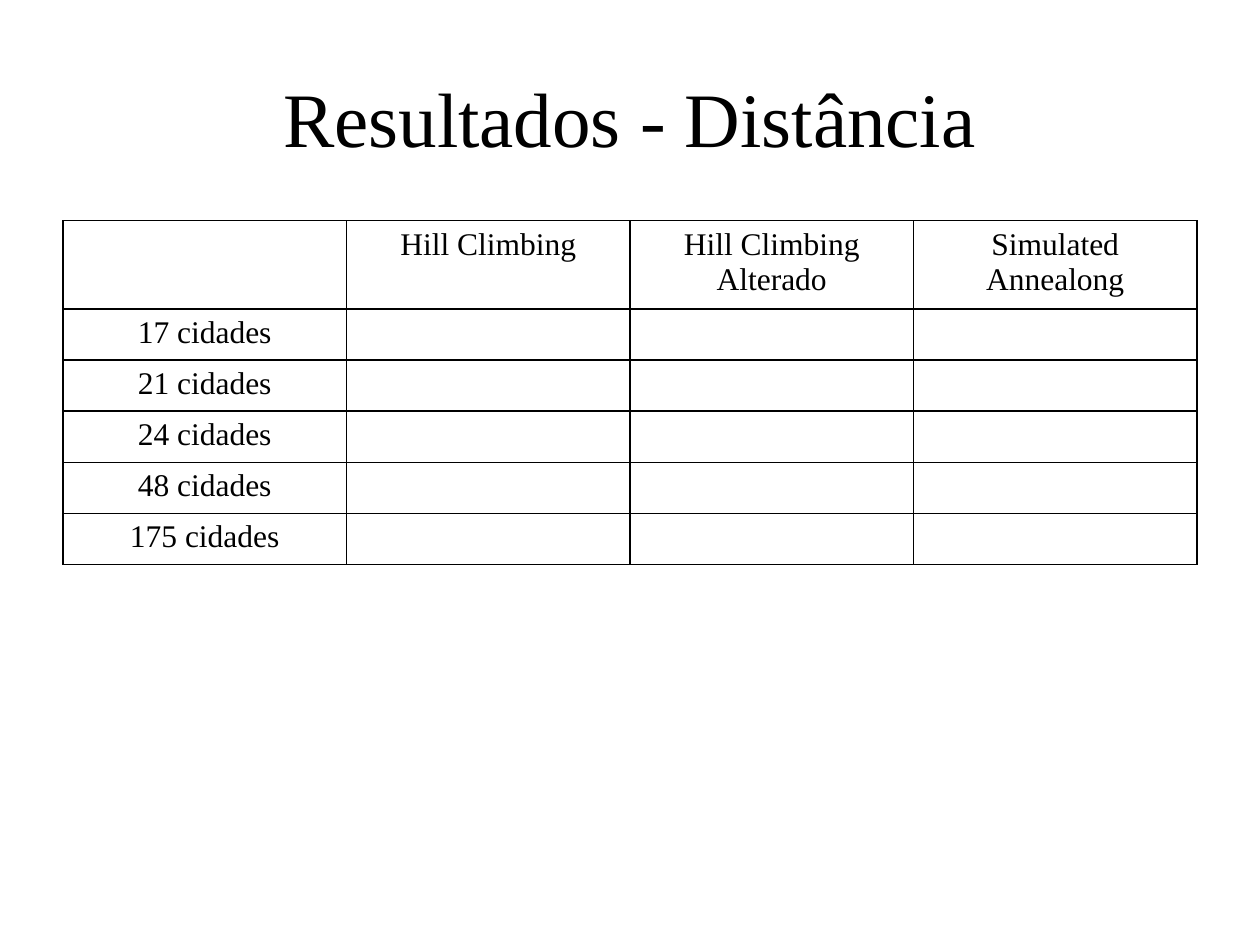
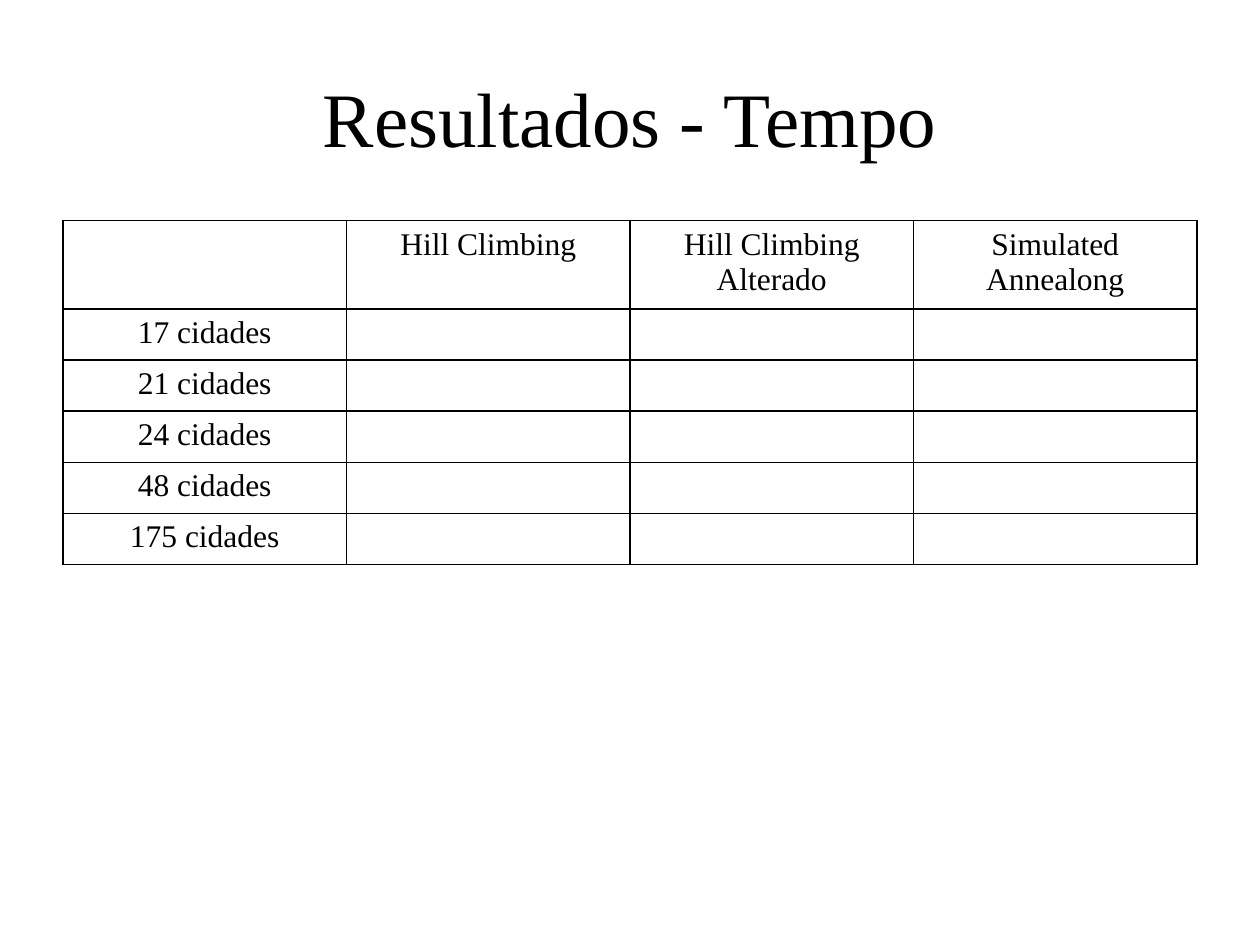
"""Build two result slides, each with a title and a table of cities by method."""
import pptx
import pptx.dml.color
import pptx.enum.text
import pptx.oxml
import pptx.oxml.ns
import pptx.util

Cm = pptx.util.Cm
Pt = pptx.util.Pt
HUES = {"ink": "000000", "paper": "FFFFFF"}
FACE = "Times New Roman"
LEFT, WIDTH = Cm(1.27), Cm(22.86)
TITLE = {"size": Pt(44), "name": FACE, "bold": False}
BODY = {"size": Pt(18), "name": FACE, "bold": False}
FRAME = {"word_wrap": True, "vertical_anchor": pptx.enum.text.MSO_ANCHOR.MIDDLE}
PLAIN = {"first_row": False, "horz_banding": False}
HEADS = ["", "Hill Climbing", "Hill Climbing Alterado", "Simulated Annealong"]
TOWNS = [17, 21, 24, 48, 175]
TOPICS = ["Distância", "Tempo"]


def apply(item, look):
    """Set each attribute in the look on the item."""
    for name, value in look.items():
        setattr(item, name, value)


def tint(name):
    """Return the named colour."""
    return pptx.dml.color.RGBColor.from_string(HUES[name])


def write(frame, text, look):
    """Put one centred line of text in a frame."""
    line = frame.paragraphs[0]
    line.alignment = pptx.enum.text.PP_ALIGN.CENTER
    run = line.add_run()
    run.text = text
    apply(run.font, look)
    run.font.color.rgb = tint("ink")


def add_title(slide, text):
    """Add the slide title."""
    box = slide.shapes.add_textbox(LEFT, Cm(0.76), WIDTH, Cm(3.18))
    apply(box.text_frame, FRAME)
    write(box.text_frame, text, TITLE)


def edge(cell):
    """Draw a thin line on all four sides of a cell."""
    props = cell._tc.get_or_add_tcPr()
    space = pptx.oxml.ns.nsdecls("a")
    for side in "LRTB":
        props.append(pptx.oxml.parse_xml(
            f'<a:ln{side} {space} w="{Pt(1)}"><a:solidFill>'
            f'<a:srgbClr val="{HUES["ink"]}"/></a:solidFill></a:ln{side}>'))


def add_grid(slide, rows):
    """Add a bordered table with equal columns and rows."""
    high = Cm(1.03)
    shape = slide.shapes.add_table(
        len(rows), len(rows[0]), LEFT, Cm(4.45), WIDTH, high * len(rows))
    grid = shape.table
    apply(grid, PLAIN)
    for row, texts in zip(grid.rows, rows):
        row.height = high
        for cell, text in zip(row.cells, texts):
            edge(cell)
            cell.fill.solid()
            cell.fill.fore_color.rgb = tint("paper")
            if text:
                write(cell.text_frame, text, BODY)


def main():
    """Build and save the slides."""
    deck = pptx.Presentation()
    apply(deck, {"slide_width": Cm(25.4), "slide_height": Cm(19.05)})
    blanks = [""] * (len(HEADS) - 1)
    rows = [HEADS] + [[f"{count} cidades"] + blanks for count in TOWNS]
    for topic in TOPICS:
        slide = deck.slides.add_slide(deck.slide_layouts[6])
        add_title(slide, f"Resultados - {topic}")
        add_grid(slide, rows)
    deck.save("out.pptx")


if __name__ == "__main__":
    main()
